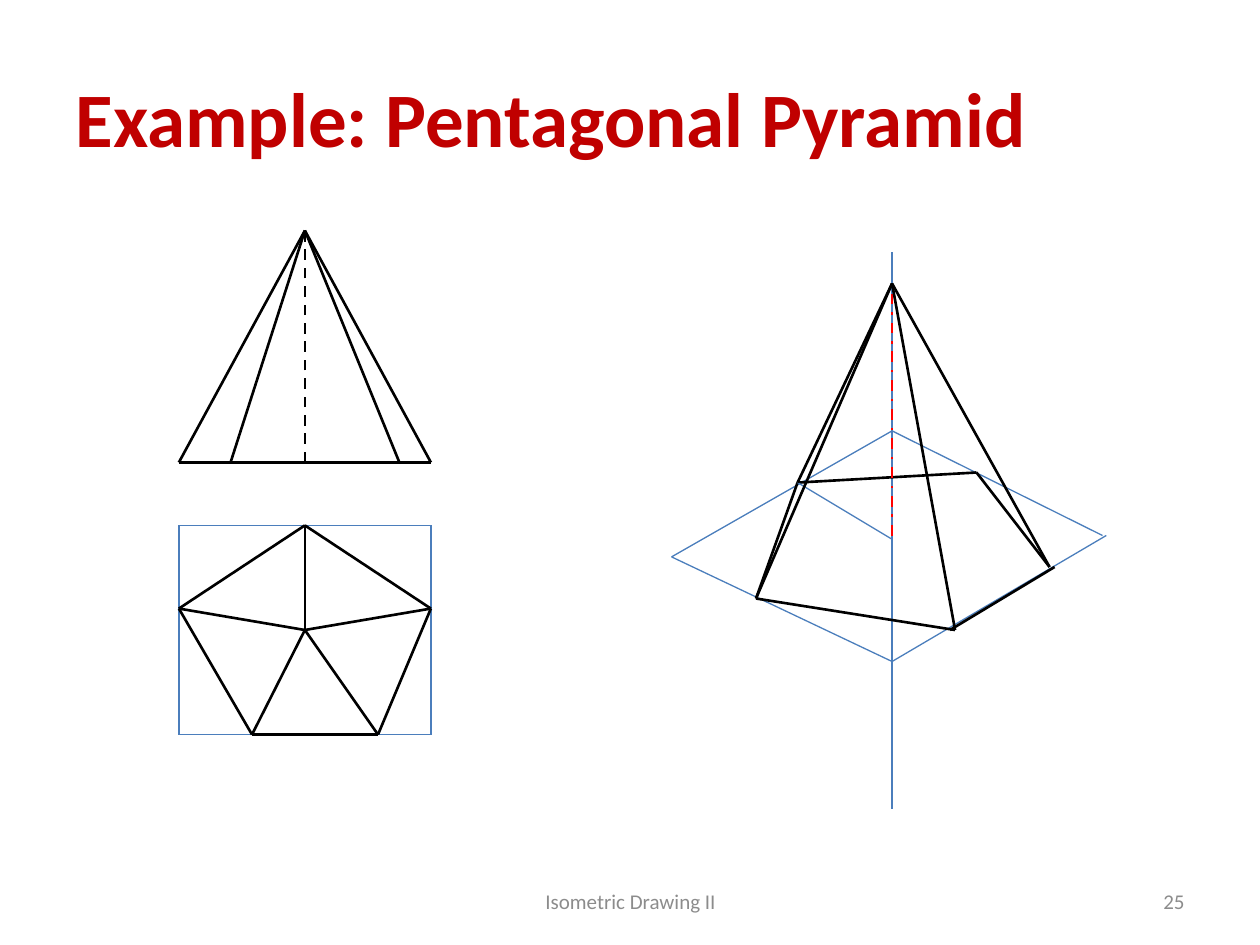
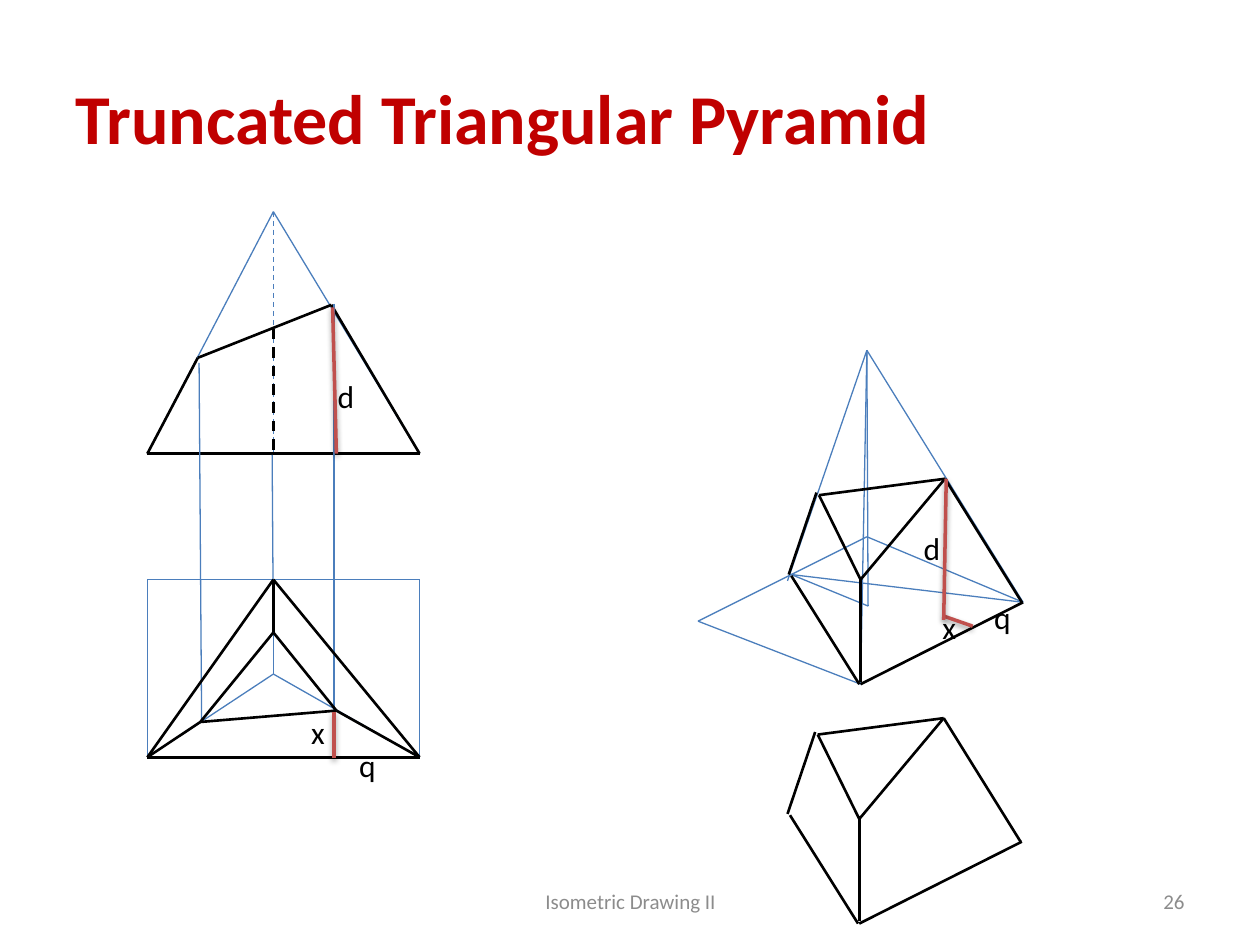
"""Builds two isometric drawing slides: a pentagonal pyramid and a truncated triangular pyramid."""
from itertools import pairwise

from lxml.etree import SubElement
from pptx import Presentation
from pptx.dml.color import RGBColor
from pptx.enum.dml import MSO_LINE_DASH_STYLE as Dash
from pptx.enum.shapes import MSO_CONNECTOR as Link
from pptx.enum.text import MSO_ANCHOR as Anchor, PP_ALIGN as Align
from pptx.oxml.ns import qn
from pptx.util import Cm, Pt


def cm(inches):
    return Cm(inches * 2.54)


def rgb(value):
    return RGBColor.from_string(value)


def apply(target, values):
    for name, value in values.items():
        setattr(target, name, value)


def box(left, top, width, height):
    return dict(left=cm(left), top=cm(top), width=cm(width), height=cm(height))


class Drawing:
    LINES = {
        "guide": ("4B7EBC", dict(width=Pt(0.75))),
        "hidden guide": ("4B7EBC", dict(width=Pt(0.75), dash_style=Dash.DASH)),
        "edge": ("000000", dict(width=Pt(1.5))),
        "hidden edge": ("000000", dict(width=Pt(1.5), dash_style=Dash.DASH)),
        "axis": ("FF0000", dict(width=Pt(1.5), dash_style=Dash.DASH_DOT)),
        "measure": ("C0504D", dict(width=Pt(2))),
    }
    TITLE = ("C00000", dict(name="Calibri", bold=True))
    FOOTER = ("8C8C8C", dict(name="Calibri", size=Pt(12)))
    LABEL = ("000000", dict(name="Calibri", size=Pt(18)))
    FOOTER_TEXT = "Isometric Drawing II"

    def __init__(self):
        self.deck = Presentation()
        apply(self.deck, dict(slide_width=cm(10), slide_height=cm(7.5)))
        self.slide = None

    def style_text(self, paragraph, style, align=Align.LEFT):
        color, values = style
        paragraph.alignment = align
        apply(paragraph.font, values)
        paragraph.font.color.rgb = rgb(color)

    def new_slide(self, heading, size):
        self.slide = self.deck.slides.add_slide(self.deck.slide_layouts[5])
        title = self.slide.shapes.title
        apply(title, box(0.5, 0.3, 9, 1.25))
        title.text_frame.text = heading
        title.text_frame.vertical_anchor = Anchor.MIDDLE
        paragraph = title.text_frame.paragraphs[0]
        self.style_text(paragraph, self.TITLE)
        paragraph.font.size = Pt(size)

    def text(self, words, place, style, align=Align.LEFT, **frame_values):
        frame = self.slide.shapes.add_textbox(**box(*place)).text_frame
        apply(frame, dict(word_wrap=True, **frame_values))
        frame.text = words
        self.style_text(frame.paragraphs[0], style, align)

    def footer(self, number):
        middle = dict(vertical_anchor=Anchor.MIDDLE)
        self.text(self.FOOTER_TEXT, (3.42, 6.95, 3.17, 0.4), self.FOOTER, Align.CENTER, **middle)
        self.text(str(number), (7.17, 6.95, 2.33, 0.4), self.FOOTER, Align.RIGHT, **middle)

    def label(self, letter, left, top, width=0.17):
        inset = cm(0.06 if width < 0.2 else 0.09)
        self.text(letter, (left, top, width, 0.4), self.LABEL, margin_left=inset, margin_right=0)

    def line(self, kind, start, end):
        color, values = self.LINES[kind]
        ends = [cm(value) for value in (*start, *end)]
        connector = self.slide.shapes.add_connector(Link.STRAIGHT, *ends)
        connector.line.color.rgb = rgb(color)
        apply(connector.line, values)
        effects = SubElement(connector._element.spPr, qn("a:effectLst"))
        if kind == "measure":
            shadow = SubElement(effects, qn("a:outerShdw"), blurRad="40000", dist="20000",
                                dir="5400000", rotWithShape="0")
            black = SubElement(shadow, qn("a:srgbClr"), val="000000")
            SubElement(black, qn("a:alpha"), val="38000")

    def outline(self, kind, *points):
        for start, end in pairwise(points):
            self.line(kind, start, end)

    def fan(self, kind, apex, ends):
        for end in ends:
            self.line(kind, apex, end)

    def frame(self, left, top, right, bottom):
        self.outline("guide", (left, bottom), (right, bottom), (right, top),
                     (left, top), (left, bottom))

    def segments(self, kind, *ends, shift=(0, 0)):
        dx, dy = shift
        for x1, y1, x2, y2 in ends:
            self.line(kind, (x1 + dx, y1 + dy), (x2 + dx, y2 + dy))


def pentagonal_pyramid(drawing):
    drawing.new_slide("Example: Pentagonal Pyramid", 44)

    drawing.frame(1.42, 4.17, 3.42, 5.83)
    plan_base = [(2, 5.83), (1.42, 4.83), (2.42, 4.17), (3.42, 4.83), (3, 5.83)]
    drawing.outline("edge", *plan_base, plan_base[0])
    drawing.fan("edge", (2.42, 5), plan_base)

    front_apex, front_level = (2.42, 1.83), 3.67
    drawing.line("edge", (1.42, front_level), (3.42, front_level))
    drawing.line("hidden edge", (2.42, front_level), front_apex)
    drawing.fan("edge", front_apex, [(x, front_level) for x in (1.83, 3.17, 1.42, 3.42)])

    drawing.outline("guide", (8.78, 4.25), (7.08, 5.25), (5.33, 4.42), (7.08, 3.42), (8.75, 4.25))
    drawing.line("guide", (7.08, 2), (7.08, 6.42))
    back_left, front_left, front_right, right = (6.33, 3.83), (6, 4.75), (7.58, 5), (8.33, 4.5)
    iso_apex = (7.08, 2.25)
    drawing.line("edge", (7.54, 5), (8.37, 4.5))
    drawing.outline("edge", front_right, front_left, back_left, (7.75, 3.75), right)
    drawing.line("guide", back_left, (7.08, 4.28))
    drawing.line("axis", (7.08, 4.25), iso_apex)
    drawing.fan("edge", iso_apex, [back_left, front_left, front_right, right])
    drawing.footer(25)


def truncated_pyramid(drawing):
    drawing.new_slide("Truncated Triangular Pyramid", 40)

    front_apex, front_left, front_right = (2.17, 1.68), (1.17, 3.6), (3.33, 3.6)
    cut_left, cut_right = (1.57, 2.84), (2.63, 2.42)
    drawing.fan("guide", front_apex, [front_left, front_right])
    drawing.line("hidden guide", front_apex, (2.17, 3.6))
    drawing.outline("edge", cut_left, front_left, front_right, cut_right, cut_left)
    drawing.line("hidden edge", (2.17, 2.61), (2.17, 3.62))

    plan_left, plan_back, plan_right = (1.17, 6.01), (2.17, 4.6), (3.33, 6.01)
    top_left, top_back, top_right = (1.59, 5.73), (2.17, 5.02), (2.67, 5.64)
    plan_base = [plan_left, plan_back, plan_right]
    plan_top = [top_left, top_back, top_right]
    drawing.frame(1.17, 4.6, 3.33, 6.01)
    drawing.fan("guide", (2.17, 5.35), plan_base)
    drawing.segments("guide", (1.58, 2.88, 1.6, 5.71), (2.65, 2.41, 2.65, 5.65),
                     (2.16, 3.61, 2.17, 5.02))
    for triangle in (plan_base, plan_top):
        drawing.outline("edge", *triangle, triangle[0])
    for base_corner, top_corner in zip(plan_base, plan_top):
        drawing.line("edge", base_corner, top_corner)

    iso_apex, iso_front, iso_right, iso_left = (6.88, 2.78), (6.83, 5.43), (8.12, 4.78), (6.28, 4.56)
    iso_center = (6.89, 4.81)
    drawing.outline("guide", iso_front, (5.54, 4.93), (6.88, 4.26), iso_right)
    drawing.outline("guide", iso_center, iso_left, iso_right)
    drawing.fan("guide", iso_apex, [iso_center, (6.25, 4.61), iso_front, iso_right])

    for shift in ((0, 0), (-0.01, 1.9)):
        drawing.segments(
            "edge",
            (6.28, 4.57, 6.82, 5.43), (6.83, 5.43, 8.12, 4.78),
            (6.5, 3.93, 7.5, 3.8), (6.5, 3.93, 6.83, 4.6), (6.83, 4.6, 7.5, 3.8),
            (6.48, 3.91, 6.26, 4.56), (7.5, 3.8, 8.11, 4.78), (6.83, 4.58, 6.83, 5.41),
            shift=shift)

    drawing.segments("measure", (7.49, 4.89, 7.72, 4.97), (7.49, 4.92, 7.51, 3.8),
                     (2.65, 5.65, 2.65, 6.02), (2.64, 2.44, 2.67, 3.6))
    for letter, left, top in (("d", 2.62, 2.94), ("x", 2.41, 5.61), ("q", 2.79, 5.87),
                              ("d", 7.27, 4.15), ("x", 7.42, 4.78)):
        drawing.label(letter, left, top)
    drawing.label("q", 7.8, 4.7, 0.25)
    drawing.footer(26)


def main():
    drawing = Drawing()
    pentagonal_pyramid(drawing)
    truncated_pyramid(drawing)
    drawing.deck.save("out.pptx")


if __name__ == "__main__":
    main()
